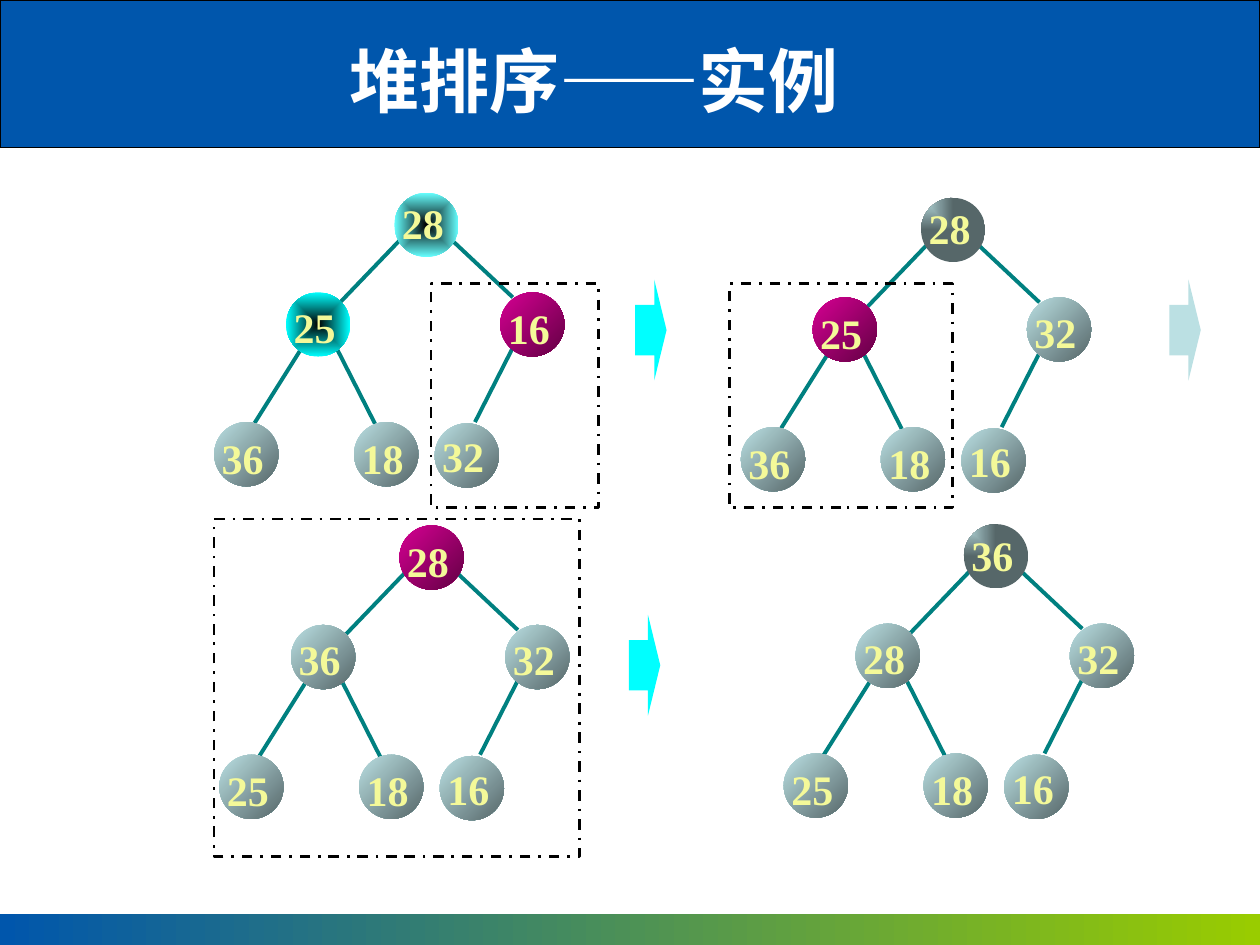
from lxml.etree import SubElement
from pptx import Presentation
from pptx.dml.color import RGBColor
from pptx.enum.dml import MSO_LINE
from pptx.enum.shapes import MSO_CONNECTOR, MSO_SHAPE
from pptx.enum.text import MSO_ANCHOR, PP_ALIGN
from pptx.oxml.ns import qn
from pptx.util import Inches, Pt

COLORS = {
    "header": "0056AC", "lime": "99CC00", "white": "FFFFFF", "black": "000000",
    "label": "F4F999", "edge": "008080", "cyan": "00FFFF", "pale": "BBE0E3",
    "slate": "566769", "magenta": "D60093", "plum": "630044", "aqua": "66FFFF",
}
# Node style: inner or first color, last color, focus rectangle (None means linear)
CENTER = (50, 50, 50, 50)
CORNER = (0, 0, 100, 100)
STYLES = {
    "plain": ("pale", "slate", None),
    "root": ("pale", "slate", CORNER),
    "active": ("magenta", "plum", None),
    "glow_root": ("black", "aqua", CENTER),
    "glow": ("black", "cyan", CENTER),
}
NODE_SIZE = 0.51
# Offsets from the root's corner, in level order, with the label's drop
NODES = [(0, 0, 0.01), (-0.86, 0.79, 0.04), (0.84, 0.79, 0.04),
         (-1.43, 1.82, 0.05), (-0.32, 1.82, 0.05), (0.32, 1.83, 0.03)]
EDGES = [(0.04, 0.38, -0.44, 0.88), (0.45, 0.37, 0.94, 0.83),
         (-0.74, 1.24, -1.13, 1.86), (-0.46, 1.23, -0.14, 1.86),
         (0.94, 1.23, 0.64, 1.82)]
# Root corner, values in level order, styles that differ by node index
HEAPS = [
    (3.13, 1.53, (28, 25, 16, 36, 18, 32), {0: "glow_root", 1: "glow", 2: "active"}),
    (7.31, 1.57, (28, 25, 32, 36, 18, 16), {1: "active"}),
    (3.17, 4.17, (28, 36, 32, 25, 18, 16), {0: "active"}),
    (7.65, 4.16, (36, 28, 32, 25, 18, 16), {}),
]
STEP_ARROWS = [(5.04, 2.22, "cyan"), (9.28, 2.22, "pale"), (4.99, 4.88, "cyan")]
SUBTREE_FRAMES = [(3.42, 2.25, 1.33, 1.78), (5.79, 2.25, 1.77, 1.78),
                  (1.7, 4.12, 2.9, 2.68)]


def rgb(name):
    return RGBColor.from_string(COLORS[name])


def write_text(frame, text, *, font, size, color, align=PP_ALIGN.LEFT,
               anchor=MSO_ANCHOR.TOP, margins=(0, 0, 0, 0)):
    frame.word_wrap = True
    frame.vertical_anchor = anchor
    (frame.margin_left, frame.margin_top,
     frame.margin_right, frame.margin_bottom) = map(Inches, margins)
    paragraph = frame.paragraphs[0]
    paragraph.alignment = align
    run = paragraph.add_run()
    run.text = text
    run.font.name = font
    run.font.size = Pt(size)
    run.font.bold = True
    run.font.color.rgb = rgb(color)
    SubElement(run.font._element, qn("a:ea"), typeface=font)


def add_block(slide, preset, left, top, width, height, fill=None):
    """Add a preset shape without shadow or outline, solid or unfilled."""
    block = slide.shapes.add_shape(
        preset, Inches(left), Inches(top), Inches(width), Inches(height))
    block.shadow.inherit = False
    block.line.fill.background()
    if fill:
        block.fill.solid()
        block.fill.fore_color.rgb = rgb(fill)
    else:
        block.fill.background()
    return block


def set_gradient(block, first, last, angle=0, focus=None):
    """Fill with two colors, linear or spreading from a focus rectangle."""
    block.fill.gradient()
    for stop, color, position in zip(block.fill.gradient_stops, (first, last), (0, 1)):
        stop.color.rgb = rgb(color)
        stop.position = position
    if focus is None:
        block.fill.gradient_angle = angle
        return
    gradient = block._element.spPr.find(qn("a:gradFill"))
    gradient.remove(gradient.find(qn("a:lin")))
    spread = SubElement(gradient, qn("a:path"),
                        path="shape" if focus == CENTER else "rect")
    SubElement(spread, qn("a:fillToRect"),
               {side: str(part * 1000) for side, part in zip("ltrb", focus)})


def add_edge(slide, x1, y1, x2, y2):
    edge = slide.shapes.add_connector(
        MSO_CONNECTOR.STRAIGHT, Inches(x1), Inches(y1), Inches(x2), Inches(y2))
    edge.line.color.rgb = rgb("edge")
    edge.line.width = Pt(2.25)
    SubElement(edge._element.spPr, qn("a:effectLst"))


def add_node(slide, left, top, value, style, label_drop):
    first, last, focus = STYLES[style]
    circle = add_block(slide, MSO_SHAPE.OVAL, left, top, NODE_SIZE, NODE_SIZE)
    set_gradient(circle, first, last, angle=315, focus=focus)
    label = slide.shapes.add_textbox(
        Inches(left + 0.05), Inches(top + label_drop), Inches(0.39), Inches(0.56))
    write_text(label.text_frame, str(value), font="Times New Roman", size=24,
               color="label", margins=(0.01, 0.03, 0, 0.01))


def add_heap(slide, left, top, values, styles):
    for x1, y1, x2, y2 in EDGES:
        add_edge(slide, left + x1, top + y1, left + x2, top + y2)
    for index, (value, (dx, dy, drop)) in enumerate(zip(values, NODES)):
        style = styles.get(index, "plain" if index else "root")
        if style == "active":
            drop = 0.05
        add_node(slide, left + dx, top + dy, value, style, drop)


def add_step_arrow(slide, left, top, color):
    arrow = add_block(slide, MSO_SHAPE.RIGHT_ARROW, left, top, 0.25, 0.8, color)
    arrow.adjustments[0] = 0.5
    arrow.adjustments[1] = 0.39


def add_subtree_frame(slide, left, top, width, height):
    frame = add_block(slide, MSO_SHAPE.RECTANGLE, left, top, width, height)
    frame.line.color.rgb = rgb("black")
    frame.line.width = Pt(1.5)
    frame.line.dash_style = MSO_LINE.DASH_DOT


def add_bands(slide):
    header = add_block(slide, MSO_SHAPE.RECTANGLE, 0, 0, 10, 1.17, "header")
    header.line.color.rgb = rgb("black")
    header.line.width = Pt(0.75)
    footer = add_block(slide, MSO_SHAPE.RECTANGLE, 0, 7.25, 10, 0.25)
    set_gradient(footer, "header", "lime")


def add_title(slide, text):
    title = slide.shapes.title
    title.left, title.top = Inches(2.35), Inches(0.25)
    title.width, title.height = Inches(4.73), Inches(0.77)
    write_text(title.text_frame, text, font="Noto Sans CJK SC", size=40,
               color="white", align=PP_ALIGN.CENTER, anchor=MSO_ANCHOR.MIDDLE)
    slide.shapes._spTree.append(title._element)  # in front of the header band


def main():
    deck = Presentation()
    deck.slide_width, deck.slide_height = Inches(10), Inches(7.5)
    slide = deck.slides.add_slide(deck.slide_layouts[5])
    add_bands(slide)
    add_title(slide, "堆排序——实例")
    for heap in HEAPS:
        add_heap(slide, *heap)
    for arrow in STEP_ARROWS:
        add_step_arrow(slide, *arrow)
    for frame in SUBTREE_FRAMES:
        add_subtree_frame(slide, *frame)
    deck.save("out.pptx")


if __name__ == "__main__":
    main()
